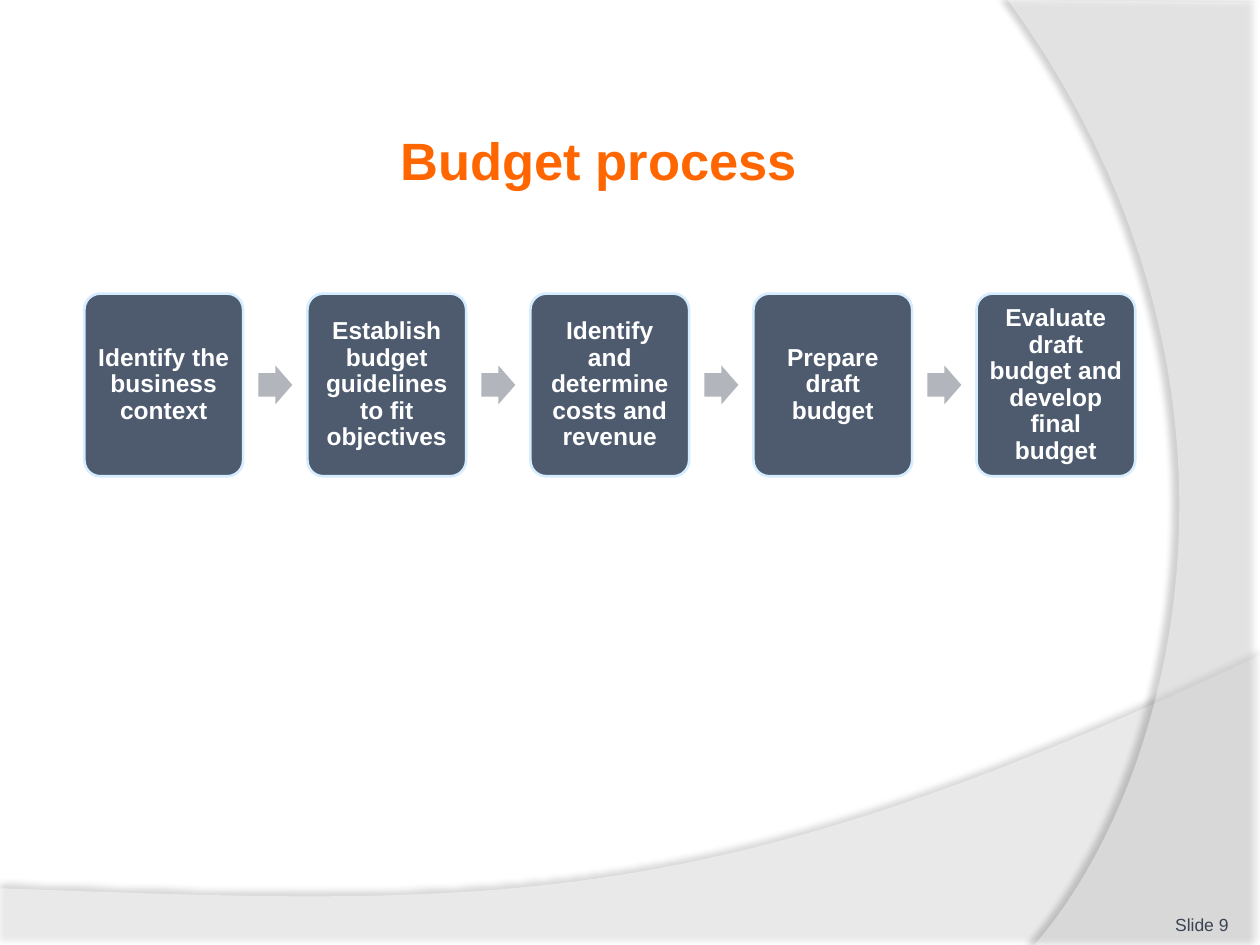
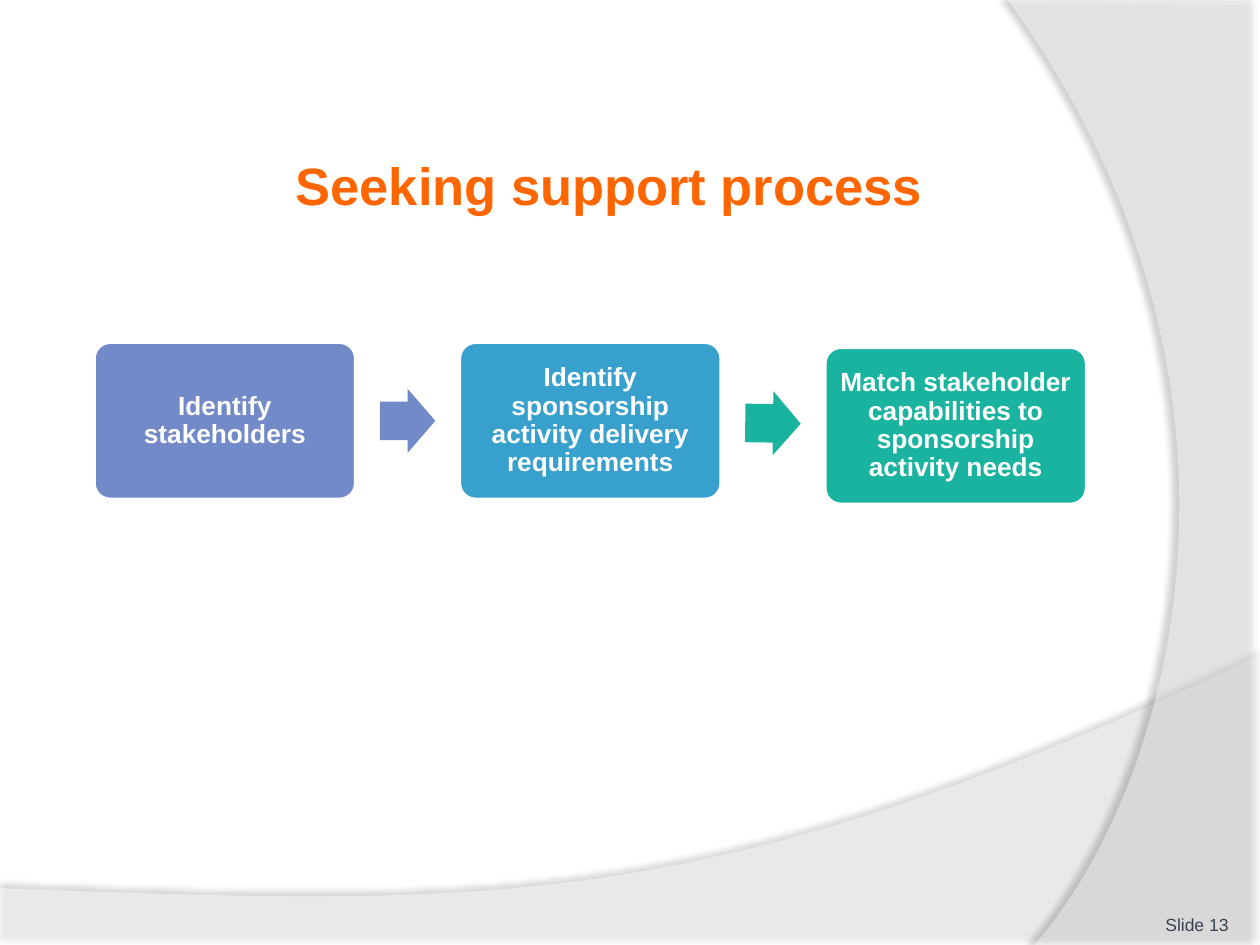
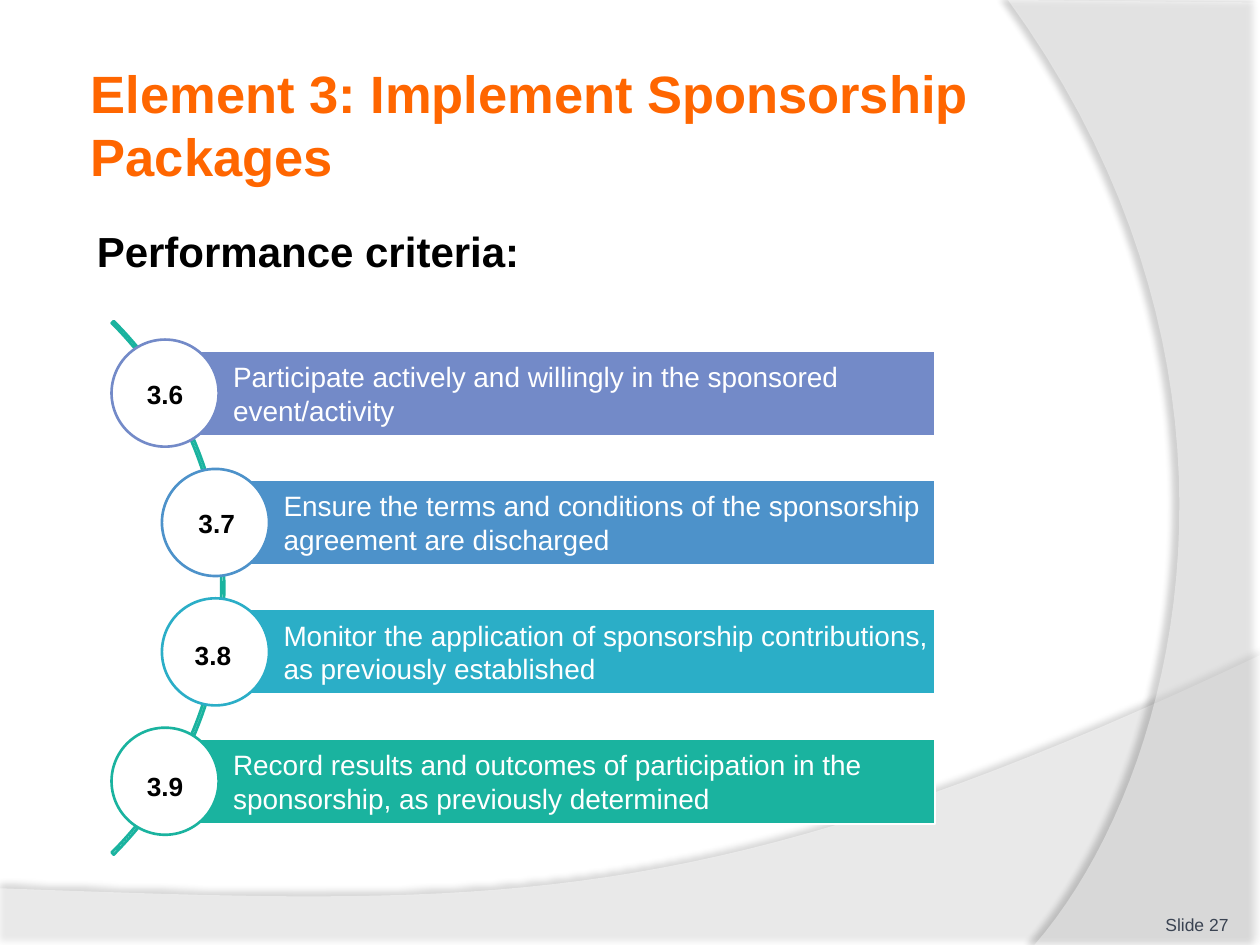
import math
from dataclasses import dataclass

import lxml.etree
import pptx
import pptx.dml.color
import pptx.enum.shapes
import pptx.enum.text
import pptx.oxml
import pptx.oxml.ns
import pptx.util

Inches = pptx.util.Inches
Pt = pptx.util.Pt
Shape = pptx.enum.shapes.MSO_SHAPE
Align = pptx.enum.text.PP_ALIGN
Anchor = pptx.enum.text.MSO_ANCHOR


@dataclass(frozen=True)
class Theme:
    font: str = "Arial"
    orange: str = "FF6600"
    black: str = "000000"
    white: str = "FFFFFF"
    footer: str = "3A4352"
    slate: str = "4E5B6F"
    pale_blue: str = "D6ECFF"
    grey: str = "B2B5BB"
    violet: str = "738AC8"
    blue: str = "4D92CA"
    sky: str = "38A0CC"
    cyan: str = "2BAEC7"
    teal: str = "1AB39F"
    title_size: int = 30
    heading_size: int = 24
    bar_size: int = 16
    label_size: int = 15
    step_size: int = 14
    footer_size: int = 10
    line_width: float = 1.5


THEME = Theme()


# Shared formatting
def rgb(color):
    return pptx.dml.color.RGBColor.from_string(color)


def write_text(shape, text, size, color, bold=False, align=Align.LEFT,
               anchor=Anchor.MIDDLE, insets=(0, 0, 0, 0), line_spacing=None):
    frame = shape.text_frame
    frame.text = text
    frame.word_wrap = True
    frame.auto_size = pptx.enum.text.MSO_AUTO_SIZE.NONE
    frame.vertical_anchor = anchor
    (frame.margin_left, frame.margin_top,
     frame.margin_right, frame.margin_bottom) = [Inches(inset) for inset in insets]
    paragraph = frame.paragraphs[0]
    paragraph.alignment = align
    paragraph.line_spacing = line_spacing
    for run in paragraph.runs:
        run.font.name = THEME.font
        run.font.size = Pt(size)
        run.font.bold = bold
        run.font.color.rgb = rgb(color)


def add_figure(slide, kind, left, top, width, height, fill=None, line=None):
    shape = slide.shapes.add_shape(
        kind, Inches(left), Inches(top), Inches(width), Inches(height))
    shape.shadow.inherit = False
    if fill:
        shape.fill.solid()
        shape.fill.fore_color.rgb = rgb(fill)
    else:
        shape.fill.background()
    if line:
        shape.line.color.rgb = rgb(line)
        shape.line.width = Pt(THEME.line_width)
    else:
        shape.line.fill.background()
    return shape


def add_label(slide, left, top, width, height, text, size, color, **options):
    box = slide.shapes.add_textbox(
        Inches(left), Inches(top), Inches(width), Inches(height))
    write_text(box, text, size, color, **options)


# Translucent background bands, kept in the layout
def curve_points(start, control_1, control_2, end, segments=40):
    points = []
    for index in range(1, segments + 1):
        t = index / segments
        weights = ((1 - t) ** 3, 3 * t * (1 - t) ** 2, 3 * t * t * (1 - t), t ** 3)
        points.append(tuple(
            sum(weight * value for weight, value in zip(weights, values))
            for values in zip(start, control_1, control_2, end)))
    return points


def add_band(slide, layout, shape_id, points, opacity, shadow_opacity, distance, angle):
    points = [(Inches(x), Inches(y)) for x, y in points]
    builder = slide.shapes.build_freeform(*points[0])
    builder.add_line_segments(points[1:], close=True)
    band = builder.convert_to_shape()
    band.line.fill.background()
    band.fill.solid()
    band.fill.fore_color.rgb = rgb(THEME.white)
    color = band.element.spPr.find(".//" + pptx.oxml.ns.qn("a:srgbClr"))
    alpha = lxml.etree.SubElement(color, pptx.oxml.ns.qn("a:alpha"))
    alpha.set("val", str(opacity * 1000))
    band.element.spPr.append(pptx.oxml.parse_xml(
        f'<a:effectLst {pptx.oxml.ns.nsdecls("a")}>'
        f'<a:outerShdw blurRad="{Pt(4)}" dist="{Pt(distance)}" dir="{angle * 60000}"'
        f' algn="ctr" rotWithShape="0"><a:srgbClr val="{THEME.black}">'
        f'<a:alpha val="{shadow_opacity * 1000}"/></a:srgbClr></a:outerShdw></a:effectLst>'))
    band.element.nvSpPr.cNvPr.id = shape_id
    layout.shapes.element.insert(shape_id - 98, band.element)


def add_background(slide, layout):
    bottom = [(0, 7.05), (0, 7.51), (10, 7.51), (10, 5.2)]
    bottom += curve_points((10, 5.2), (5.59, 7.29), (3.91, 7.19), (0, 7.05))
    right = [(10, 0.02), (10, 7.5), (8.21, 7.5)]
    right += curve_points((8.21, 7.5), (9.35, 6.19), (10.18, 3), (8, 0))
    add_band(slide, layout, 100, bottom, 45, 35, 3.5, 270)
    add_band(slide, layout, 101, right, 40, 45, 4, 180)


# Title and slide number
def add_slide(presentation, layout, title, number, left, top, height, align=Align.CENTER):
    slide = presentation.slides.add_slide(layout)
    placeholder = slide.shapes.title
    placeholder.left, placeholder.top = Inches(left), Inches(top)
    placeholder.width, placeholder.height = Inches(8.17), Inches(height)
    write_text(placeholder, title, THEME.title_size, THEME.orange, bold=True,
               align=align, insets=(0.05,) * 4)
    add_label(slide, 8.92, 7.02, 0.83, 0.4, f"Slide {number}", THEME.footer_size,
              THEME.footer, align=Align.RIGHT, anchor=Anchor.BOTTOM)
    return slide


# Row of steps, each joined to the next by a centred arrow
def add_flow(slide, steps, left, pitch, box_size, arrow_size, arrow_colors, line, text_size):
    width, height = box_size
    arrow_width, arrow_height = arrow_size
    for index, (text, top, fill) in enumerate(steps):
        x = left + index * pitch
        box = add_figure(slide, Shape.ROUNDED_RECTANGLE, x, top, width, height, fill, line)
        box.adjustments[0] = 0.1
        write_text(box, text, text_size, THEME.white, bold=True, align=Align.CENTER,
                   insets=(0.06,) * 4, line_spacing=0.9)
        if index < len(arrow_colors):
            next_top = steps[index + 1][1]
            center_x = x + (width + pitch) / 2
            center_y = (top + next_top + height) / 2
            arrow = add_figure(slide, Shape.RIGHT_ARROW, center_x - arrow_width / 2,
                               center_y - arrow_height / 2, arrow_width, arrow_height,
                               arrow_colors[index])
            arrow.adjustments[0] = 0.6
            arrow.adjustments[1] = 0.5
            arrow.rotation = math.degrees(math.atan2(next_top - top, pitch))


# Numbered criteria along an arc
def add_criteria(slide, criteria):
    arc = add_figure(slide, Shape.BLOCK_ARC, -4.21, 1.67, 5.99, 5.99, line=THEME.teal)
    for index, degrees_or_ratio in enumerate((189, 27, 0.004)):
        arc.adjustments[index] = degrees_or_ratio

    first_top, last_top = 2.78, 5.86
    pitch = (last_top - first_top) / (len(criteria) - 1)
    right, height, diameter = 7.42, 0.68, 0.85
    for index, (_, text, color, left, _) in enumerate(criteria):
        top = first_top + index * pitch
        bar = add_figure(slide, Shape.RECTANGLE, left, top, right - left, height,
                         color, THEME.white)
        write_text(bar, text, THEME.bar_size, THEME.white, insets=(0.54, 0.04, 0.04, 0.04))
        add_figure(slide, Shape.OVAL, left - diameter / 2, top + (height - diameter) / 2,
                   diameter, diameter, THEME.white, color)

    label_width, label_height = 0.71, 0.35
    for number, _, _, _, (center_x, center_y) in criteria:
        add_label(slide, center_x - label_width / 2, center_y - label_height / 2,
                  label_width, label_height, number, THEME.label_size, THEME.black,
                  bold=True, align=Align.CENTER)


def main():
    presentation = pptx.Presentation()
    presentation.slide_width, presentation.slide_height = Inches(10), Inches(7.5)
    layout = presentation.slide_layouts.get_by_name("Title Only")

    # Budget process
    slide = add_slide(presentation, layout, "Budget process", 9, 0.67, 0.36, 1.81)
    add_background(slide, layout)
    budget_steps = [
        "Identify the business context",
        "Establish budget guidelines to fit objectives",
        "Identify and determine costs and revenue",
        "Prepare draft budget",
        "Evaluate draft budget and develop final budget",
    ]
    add_flow(slide, [(text, 2.33, THEME.slate) for text in budget_steps], 0.67, 1.77,
             (1.26, 1.45), (0.27, 0.31), [THEME.grey] * 4, THEME.pale_blue, THEME.step_size)

    # Seeking support process
    slide = add_slide(presentation, layout, "Seeking support process", 13, 0.75, 0.84, 1.25)
    support_steps = [
        ("Identify stakeholders", 2.72, THEME.violet),
        ("Identify sponsorship activity delivery requirements", 2.72, THEME.sky),
        ("Match stakeholder capabilities to sponsorship activity needs", 2.76, THEME.teal),
    ]
    add_flow(slide, support_steps, 0.75, 2.9, (2.07, 1.24), (0.44, 0.51),
             [THEME.violet, THEME.teal], THEME.white, THEME.label_size)

    # Performance criteria
    slide = add_slide(presentation, layout, "Element 3: Implement Sponsorship Packages", 27,
                      0.67, 0.36, 1.25, Align.LEFT)
    add_label(slide, 0.67, 1.74, 8.17, 0.5, "Performance criteria:", THEME.heading_size,
              THEME.black, bold=True, anchor=Anchor.TOP, insets=(0.1, 0.05, 0.1, 0.05))
    add_criteria(slide, [
        ("3.6", "Participate actively and willingly in the sponsored event/activity",
         THEME.violet, 1.31, (1.31, 3.13)),
        ("3.7", "Ensure the terms and conditions of the sponsorship agreement are discharged",
         THEME.blue, 1.71, (1.72, 4.15)),
        ("3.8", "Monitor the application of sponsorship contributions, as previously established",
         THEME.cyan, 1.71, (1.69, 5.2)),
        ("3.9", "Record results and outcomes of participation in the sponsorship, "
         "as previously determined", THEME.teal, 1.31, (1.31, 6.24)),
    ])
    presentation.save("out.pptx")


if __name__ == "__main__":
    main()
